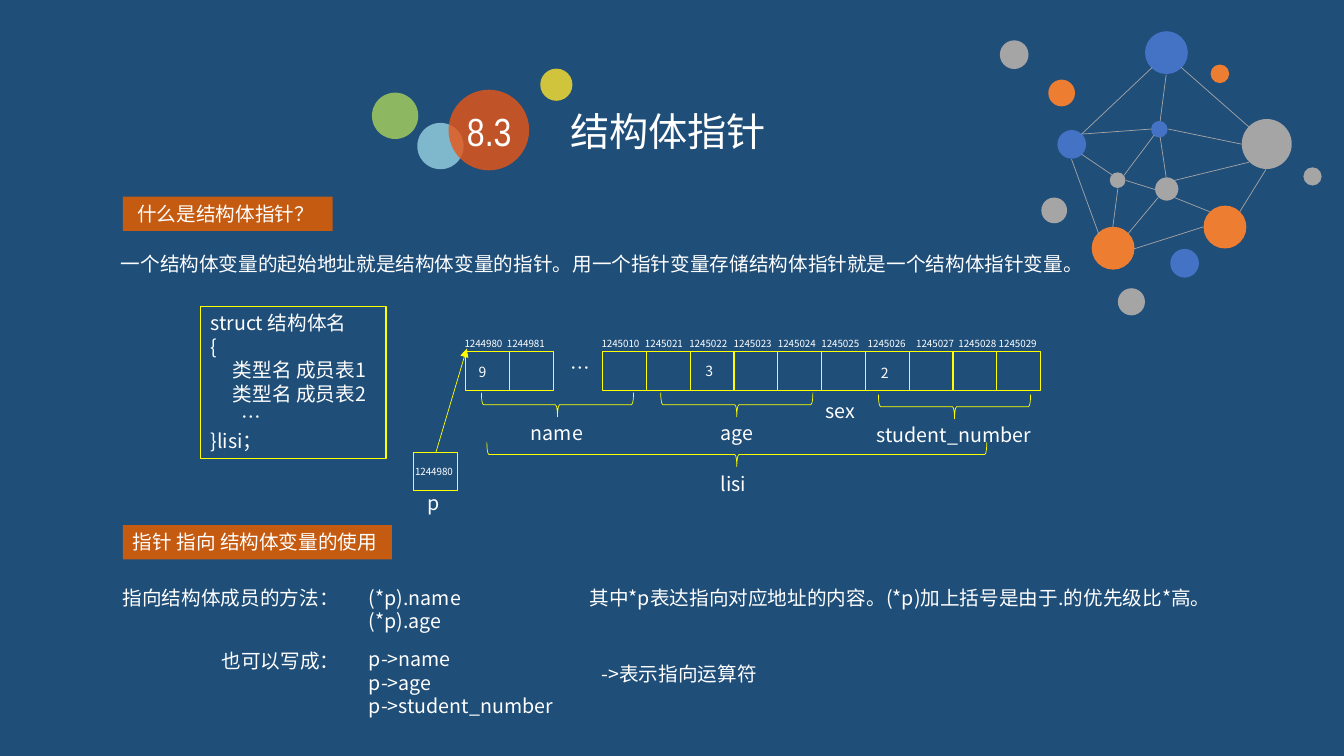
from lxml.etree import SubElement
from pptx import Presentation
from pptx.dml.color import RGBColor
from pptx.enum.shapes import MSO_CONNECTOR, MSO_SHAPE
from pptx.enum.text import MSO_ANCHOR, MSO_AUTO_SIZE, PP_ALIGN
from pptx.oxml.ns import qn
from pptx.util import Pt

COLORS = {
    "navy": "1F4E79", "white": "FFFFFF", "banner": "C55A11", "wire": "FFFF00",
    "yellow": "FBE22D", "green": "A9D25A", "sky": "98D2E3", "red": "EA5514",
    "blue": "4472C4", "orange": "ED7D31", "gray": "A5A5A5",
}
FONT = "Noto Sans CJK SC"


def rgb(name):
    return RGBColor.from_string(COLORS[name])


def write(frame, text, size=14, font=FONT, color="white", align=PP_ALIGN.LEFT,
          wrap=False, inset=None, indents=None):
    frame.word_wrap = wrap
    frame.auto_size = MSO_AUTO_SIZE.SHAPE_TO_FIT_TEXT
    frame.vertical_anchor = MSO_ANCHOR.TOP
    if inset is not None:
        frame.margin_left = frame.margin_right = Pt(inset)
        frame.margin_top = frame.margin_bottom = Pt(inset)
    for number, line in enumerate(text.split("\n")):
        paragraph = frame.paragraphs[0] if number == 0 else frame.add_paragraph()
        paragraph.alignment = align
        if indents and number in indents:
            paragraph._p.get_or_add_pPr().set("marL", str(Pt(indents[number])))
        run = paragraph.add_run()
        run.text = line
        run.font.size = Pt(size)
        run.font.name = font
        run.font.color.rgb = rgb(color)
        SubElement(run._r.get_or_add_rPr(), qn("a:ea"), typeface=font)


class Board:
    def __init__(self, slide):
        self.slide = slide
        self.shapes = slide.shapes
        fill = slide.background.fill
        fill.solid()
        fill.fore_color.rgb = rgb("navy")

    def start_group(self):
        self.shapes = self.slide.shapes.add_group_shape().shapes

    def end_group(self):
        self.shapes = self.slide.shapes

    def shape(self, kind, x, y, w, h, fill=None, line=None, width=0.75, alpha=None):
        item = self.shapes.add_shape(kind, Pt(x), Pt(y), Pt(w), Pt(h))
        item.shadow.inherit = False
        if fill:
            item.fill.solid()
            item.fill.fore_color.rgb = rgb(fill)
        else:
            item.fill.background()
        if alpha:
            tint = item._element.spPr.find(qn("a:solidFill"))[0]
            SubElement(tint, qn("a:alpha"), val=str(alpha * 1000))
        if line:
            item.line.color.rgb = rgb(line)
            item.line.width = Pt(width)
        else:
            item.line.fill.background()
        return item

    def box(self, x, y, w, h, text=None, indents=None, **look):
        item = self.shape(MSO_SHAPE.RECTANGLE, x, y, w, h, **look)
        if text:
            write(item.text_frame, text, indents=indents)
        return item

    def dot(self, x, y, size, fill, alpha=None):
        self.shape(MSO_SHAPE.OVAL, x, y, size, size, fill=fill, alpha=alpha)

    def brace(self, center, middle, span):
        depth = 17.3
        item = self.shape(MSO_SHAPE.RIGHT_BRACE, center - depth / 2, middle - span / 2,
                          depth, span, line="wire", width=0.5)
        item.rotation = 90

    def label(self, x, y, w, h, text, **look):
        item = self.shapes.add_textbox(Pt(x), Pt(y), Pt(w), Pt(h))
        write(item.text_frame, text, **look)

    def link(self, x1, y1, x2, y2, color, arrow=False):
        item = self.shapes.add_connector(MSO_CONNECTOR.STRAIGHT, Pt(x1), Pt(y1), Pt(x2), Pt(y2))
        item.line.color.rgb = rgb(color)
        item.line.width = Pt(0.5)
        if arrow:
            SubElement(item.line._get_or_add_ln(), qn("a:tailEnd"), type="triangle")
        SubElement(item._element.spPr, qn("a:effectLst"))
        return item


def draw_heading(board):
    board.start_group()
    for x, y, size, color in [(385.9, 49, 23, "yellow"), (265.7, 66.2, 33.1, "green"),
                              (298.1, 87.8, 33.1, "sky"), (320.4, 64.1, 57.6, "red")]:
        board.dot(x, y, size, color, alpha=80)
    board.label(329, 77, 41, 33.8, "8.3", size=28, font="Arial Narrow",
                align=PP_ALIGN.CENTER, wrap=True, inset=0)
    board.end_group()
    board.label(400.3, 73.4, 156.2, 41, "结构体指针", size=28)


def draw_definition(board):
    board.box(87.8, 140.4, 149.8, 24.5, " 什么是结构体指针？", fill="banner")
    board.label(79.2, 176.4, 707, 24.5,
                "一个结构体变量的起始地址就是结构体变量的指针。用一个指针变量存储结构体指针就是一个结构体指针变量。")
    board.box(143.3, 218.6, 132.5, 108.7,
              "struct 结构体名\n{\n类型名 成员表1\n类型名 成员表2\n…\n}lisi；",
              indents={2: 16, 3: 16, 4: 22}, line="wire")


def draw_memory(board):
    cell_w, cell_h, cell_y, pitch = 31.5, 27.4, 251.4, 31.28
    for start, count in [(332.4, 2), (430.4, 10)]:
        for number in range(count):
            board.box(start + number * pitch, cell_y, cell_w, cell_h, line="wire")
    addresses = [(324.7, 1244980), (355, 1244981), (422.6, 1245010), (453.6, 1245021),
                 (485.3, 1245022), (517, 1245023), (548.6, 1245024), (579.6, 1245025),
                 (612.7, 1245026), (647.3, 1245027), (677.5, 1245028), (706.3, 1245029)]
    for x, address in addresses:
        board.label(x, 237.8, 54, 15.8, str(address), size=7, wrap=True)
    for x, y, value in [(334.8, 256.3, "9"), (496.8, 255.6, "3"), (622.1, 257, "2")]:
        board.label(x, y, 20.2, 19.4, value, size=10)
    for x, y, w, text in [(400.3, 250.6, 25.9, "…"), (372.2, 297.4, 53, "name"),
                          (507.6, 297.4, 40, "age"), (582.5, 281.5, 37, "sex"),
                          (619.2, 298.8, 127, "student_number"),
                          (507.6, 333.4, 36, "lisi"), (298.1, 347, 24, "p")]:
        board.label(x, y, w, 24.5, text)
    for center, middle, span in [(398.2, 289.1, 108.7), (526.3, 289.1, 108.7),
                                 (681.8, 290.5, 108.7), (526.3, 324.7, 357.1)]:
        board.brace(center, middle, span)
    pointer = board.box(295.6, 323.3, cell_w, cell_h, line="wire")
    board.label(289.4, 329, 52.6, 15.8, "1244980", size=7, wrap=True)
    arrow = board.link(311.35, 323.3, 333.4, 249.1, "wire", arrow=True)
    arrow.begin_connect(pointer, 0)


def draw_usage(board):
    board.box(87.8, 375.1, 192.2, 24.5, "指针 指向 结构体变量的使用", fill="banner")
    board.label(80.6, 414.7, 169.9, 24.5, "指向结构体成员的方法：")
    board.label(256.3, 414.7, 80.6, 41, "(*p).name\n(*p).age")
    board.label(414, 414.7, 457.2, 41,
                "其中*p表达指向对应地址的内容。(*p)加上括号是由于.的优先级比*高。", wrap=True)
    board.label(256.3, 458.6, 151.2, 58.3, "p->name\np->age\np->student_number")
    board.label(151.2, 460.1, 99.4, 24.5, "也可以写成：")
    board.label(422.6, 469.4, 130.3, 24.5, "->表示指向运算符")


def draw_network(board):
    board.start_group()
    for x, y, size, color in [
            (817.9, 22.3, 30.6, "blue"), (779.8, 162, 30.6, "orange"),
            (825.1, 126.7, 16.6, "gray"), (755.3, 92.9, 20.5, "blue"),
            (864.7, 46.1, 13.3, "orange"), (887, 85, 35.7, "gray"),
            (822.2, 86.4, 11.9, "blue"), (859.7, 146.9, 30.6, "orange"),
            (792.7, 123.1, 11.2, "gray"), (835.9, 177.8, 20.5, "blue"),
            (748.8, 56.9, 19.1, "orange"), (714.2, 28.8, 20.5, "gray"),
            (798.5, 205.9, 19.4, "gray"), (743.8, 141.1, 18.4, "gray"),
            (931, 119.5, 13, "gray")]:
        board.dot(x, y, size, color)
    for ends in [(843.8, 48.2, 892.1, 90.7), (838.8, 128.9, 892.1, 115.9),
                 (885.6, 151.2, 904.3, 121), (805.7, 167, 827.3, 141.1),
                 (772.6, 95.8, 823, 48.2), (828.7, 86.4, 833, 53.3),
                 (887, 103, 834.5, 92.2), (828.7, 97.9, 833, 126.7),
                 (838.8, 141.1, 864, 151.2), (772.6, 95.8, 822.2, 92.2),
                 (765.4, 113.8, 784.8, 167), (772.6, 110.2, 794.9, 125.3),
                 (802.8, 125.3, 824.4, 96.5), (804.2, 128.9, 825.1, 135.4),
                 (794.9, 162, 798.5, 134.6), (810, 177.8, 859.7, 162)]:
        board.link(*ends, "gray")
    board.end_group()


def main():
    deck = Presentation()
    deck.slide_width, deck.slide_height = Pt(960), Pt(540)
    board = Board(deck.slides.add_slide(deck.slide_layouts[6]))
    draw_heading(board)
    draw_definition(board)
    draw_memory(board)
    draw_usage(board)
    draw_network(board)
    deck.save("out.pptx")


if __name__ == "__main__":
    main()
